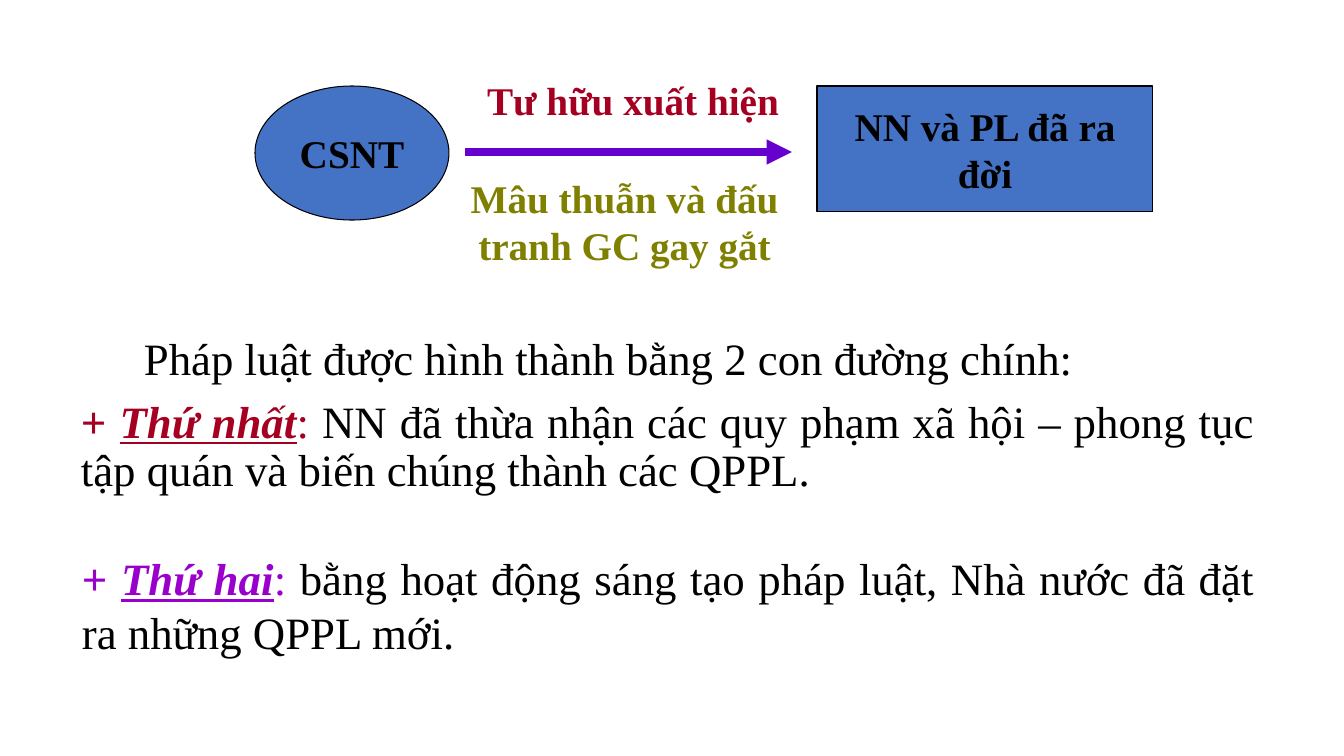
from dataclasses import dataclass

import lxml.etree
import pptx
import pptx.dml.color
import pptx.enum.shapes
import pptx.enum.text
import pptx.oxml.ns
import pptx.util

EMU_PER_PX = 12192000 / 1344
ALIGN = pptx.enum.text.PP_ALIGN
ANCHOR = pptx.enum.text.MSO_ANCHOR
SHAPE = pptx.enum.shapes.MSO_SHAPE


@dataclass(frozen=True)
class Theme:
    font: str = "Times New Roman"
    diagram_size: int = 28
    body_size: int = 32
    black: str = "000000"
    blue: str = "4472C4"
    violet: str = "6600CC"
    crimson: str = "A50021"
    olive: str = "808000"
    purple: str = "9900CC"


THEME = Theme()


def px(length):
    return pptx.util.Emu(round(length * EMU_PER_PX))


def rgb(color):
    return pptx.dml.color.RGBColor.from_string(color)


def format_font(font, size, color, bold=False):
    font.name = THEME.font
    font.size = pptx.util.Pt(size)
    font.bold = bold
    font.color.rgb = rgb(color)


def write_label(shape, text, color, anchor):
    frame = shape.text_frame
    frame.word_wrap = True
    frame.vertical_anchor = anchor
    paragraph = frame.paragraphs[0]
    paragraph.text = text
    paragraph.alignment = ALIGN.CENTER
    format_font(paragraph.font, THEME.diagram_size, color, bold=True)


def add_stage(slide, preset, box, text):
    shape = slide.shapes.add_shape(preset, *map(px, box))
    shape.shadow.inherit = False
    shape.fill.solid()
    shape.fill.fore_color.rgb = rgb(THEME.blue)
    shape.line.color.rgb = rgb(THEME.black)
    shape.line.width = pptx.util.Pt(0.75)
    write_label(shape, text, THEME.black, ANCHOR.MIDDLE)


def add_caption(slide, box, text, color):
    caption = slide.shapes.add_textbox(*map(px, box))
    write_label(caption, text, color, ANCHOR.TOP)


def add_arrow(slide, left, right, y):
    arrow = slide.shapes.add_connector(
        pptx.enum.shapes.MSO_CONNECTOR.STRAIGHT, px(left), px(y), px(right), px(y))
    arrow.line.color.rgb = rgb(THEME.violet)
    arrow.line.width = pptx.util.Pt(6)
    qualified = pptx.oxml.ns.qn
    line = arrow.line._get_or_add_ln()
    lxml.etree.SubElement(line, qualified("a:tailEnd"), type="triangle")
    lxml.etree.SubElement(arrow._element.spPr, qualified("a:effectLst"))


def add_body(slide, box):
    body = slide.shapes.add_textbox(*map(px, box))
    body.text_frame.word_wrap = True
    return body.text_frame


def write_path(paragraph, name, description, color):
    """Write one justified path: coloured marker and name, then black text."""
    paragraph.alignment = ALIGN.JUSTIFY
    format_font(paragraph.font, THEME.body_size, THEME.black)
    for text, text_color, bold, is_name in (
        ("+ ", color, True, False),
        (name, color, True, True),
        (":", color, False, False),
        (f" {description}", THEME.black, False, False),
    ):
        run = paragraph.add_run()
        run.text = text
        format_font(run.font, THEME.body_size, text_color, bold)
        if is_name:
            run.font.italic = True
            run.font.underline = True


def main():
    presentation = pptx.Presentation()
    presentation.slide_width = px(1344)
    presentation.slide_height = px(756)
    slide = presentation.slides.add_slide(presentation.slide_layouts[6])

    add_stage(slide, SHAPE.OVAL, (255, 86, 194, 134), "CSNT")
    add_arrow(slide, 465, 792, 152)
    add_stage(slide, SHAPE.RECTANGLE, (817, 86, 336, 126), "NN và PL đã ra đời")
    add_caption(slide, (465, 71, 336, 57), "Tư hữu xuất hiện", THEME.crimson)
    add_caption(slide, (448, 169, 353, 105),
                "Mâu thuẫn và đấu tranh GC gay gắt", THEME.olive)

    body = add_body(slide, (71, 332, 1194, 180))
    intro = body.paragraphs[0]
    intro.text = "Pháp luật được hình thành bằng 2 con đường chính:"
    intro.alignment = ALIGN.JUSTIFY
    intro._p.get_or_add_pPr().set("indent", str(px(63)))
    format_font(intro.font, THEME.body_size, THEME.black)
    first_path = body.add_paragraph()
    first_path.space_before = pptx.util.Pt(10)
    write_path(first_path, "Thứ nhất",
               "NN đã thừa nhận các quy phạm xã hội – phong tục tập quán "
               "và biến chúng thành các QPPL.", THEME.crimson)
    for paragraph in body.paragraphs:
        paragraph.line_spacing = 0.9

    second_path = add_body(slide, (72, 546, 1193, 120)).paragraphs[0]
    write_path(second_path, "Thứ hai",
               "bằng hoạt động sáng tạo pháp luật, Nhà nước đã đặt ra "
               "những QPPL mới.", THEME.purple)

    presentation.save("out.pptx")


if __name__ == "__main__":
    main()
